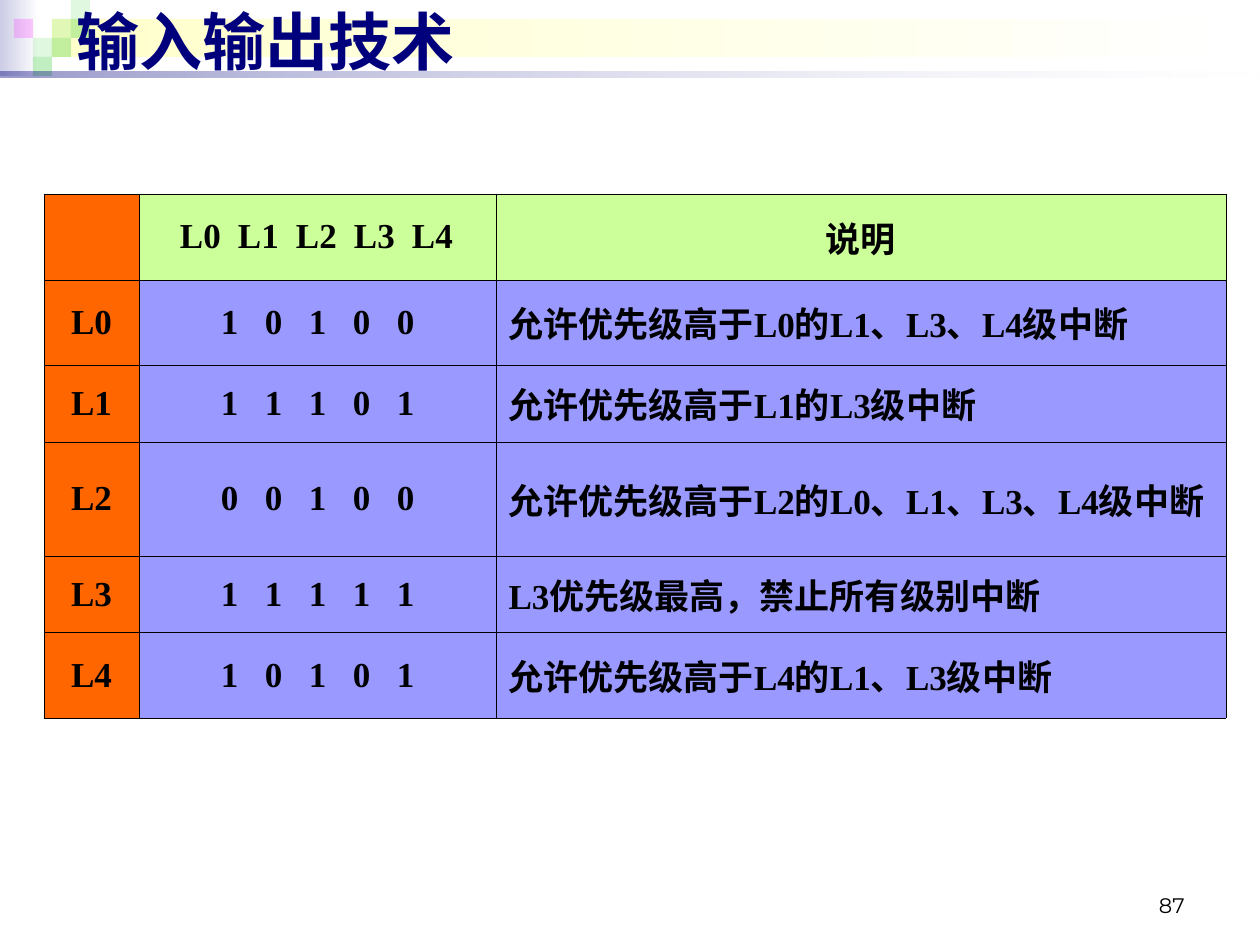
import dataclasses
import lxml.etree
import pptx
import pptx.dml.color
import pptx.enum.shapes
import pptx.enum.text
import pptx.oxml.ns
import pptx.util

PX = 914400 // 126


@dataclasses.dataclass(frozen=True)
class Theme:
    navy: str = "00007D"
    lavender: str = "CCCCE6"
    cream: str = "FFFFCC"
    white: str = "FFFFFF"
    green: str = "33CC33"
    magenta: str = "FF00FF"
    orange: str = "FF6600"
    lime: str = "CCFF99"
    violet: str = "9999FF"
    black: str = "000000"
    title_size: int = 36
    table_size: int = 20
    number_size: int = 12
    border: float = 0.45


theme = Theme()
rgb = pptx.dml.color.RGBColor.from_string
qn = pptx.oxml.ns.qn
align = pptx.enum.text.PP_ALIGN
middle = pptx.enum.text.MSO_ANCHOR.MIDDLE


def add_block(page, place, colours, opacities):
    block = page.shapes.add_shape(
        pptx.enum.shapes.MSO_SHAPE.RECTANGLE, *[n * PX for n in place])
    block.shadow.inherit = False
    block.line.fill.background()
    if len(colours) == 1:
        block.fill.solid()
        block.fill.fore_color.rgb = rgb(colours[0])
    else:
        block.fill.gradient()
        block.fill.gradient_angle = 0
        for stop, colour in zip(block.fill.gradient_stops, colours):
            stop.color.rgb = rgb(colour)
    for colour, opacity in zip(block.element.spPr.iter(qn("a:srgbClr")), opacities):
        if opacity < 100:
            lxml.etree.SubElement(colour, qn("a:alpha"), val=str(opacity * 1000))


def add_span(para, text, face, size, colour, bold):
    span = para.add_run()
    span.text = text
    span.font.name = face
    span.font.size = pptx.util.Pt(size)
    span.font.color.rgb = rgb(colour)
    span.font.bold = bold


deck = pptx.Presentation()
deck.slide_width = 1260 * PX
deck.slide_height = 945 * PX
page = deck.slides.add_slide(deck.slide_layouts[5])

add_block(page, (0, 0, 39, 76), (theme.lavender, theme.white), (100, 100))
add_block(page, (52, 19, 1203, 38), (theme.cream, theme.white), (100, 100))
tile = 19
tiles = [
    (2, 1, theme.green, 15), (3, 0, theme.green, 15), (3, 1, theme.green, 30),
    (1, 2, theme.green, 15), (0, 1, theme.magenta, 20), (2, 2, theme.green, 30),
    (1, 3, theme.green, 30),
]
for column, row, colour, opacity in tiles:
    add_block(page, (14 + column * tile, row * tile, tile, tile), (colour,), (opacity,))
add_block(page, (0, 72, 1260, 6), (theme.navy, theme.white), (40, 10))

number = page.shapes.add_textbox(903 * PX, 861 * PX, 294 * PX, 63 * PX)
number.text_frame.word_wrap = True
number.text_frame.vertical_anchor = pptx.enum.text.MSO_ANCHOR.BOTTOM
para = number.text_frame.paragraphs[0]
para.alignment = align.RIGHT
add_span(para, "87", "Montserrat", theme.number_size, theme.black, False)

title = page.shapes.title
title.left, title.top, title.width, title.height = [n * PX for n in (64, -4, 1180, 89)]
title.text_frame.auto_size = pptx.enum.text.MSO_AUTO_SIZE.NONE
title.text_frame.vertical_anchor = middle
para = title.text_frame.paragraphs[0]
para.alignment = align.LEFT
add_span(para, "输入输出技术", "Arial", theme.title_size, theme.navy, True)
page.shapes.element.append(title.element)

levels = ["L0", "L1", "L2", "L3", "L4"]
masks = ["10100", "11101", "00100", "11111", "10101"]
notes = [
    "允许优先级高于L0的L1、L3、L4级中断",
    "允许优先级高于L1的L3级中断",
    "允许优先级高于L2的L0、L1、L3、L4级中断",
    "L3优先级最高，禁止所有级别中断",
    "允许优先级高于L4的L1、L3级中断",
]
rows = [("", "\t".join(levels), "说明")]
rows += [(level, "\t".join(mask), note) for level, mask, note in zip(levels, masks, notes)]
widths = [95, 357, 730]
heights = [86, 85, 77, 97, 76, 86]
table = page.shapes.add_table(
    len(rows), len(widths), 44 * PX, 194 * PX, sum(widths) * PX, sum(heights) * PX).table
table.first_row = False
table.horz_banding = False
for column, width in zip(table.columns, widths):
    column.width = width * PX
for row, height in zip(table.rows, heights):
    row.height = height * PX

for r, texts in enumerate(rows):
    for c, text in enumerate(texts):
        cell = table.cell(r, c)
        cell.vertical_anchor = middle
        properties = cell._tc.get_or_add_tcPr()
        for side in ("a:lnL", "a:lnR", "a:lnT", "a:lnB"):
            line = lxml.etree.SubElement(
                properties, qn(side), w=str(pptx.util.Pt(theme.border)))
            paint = lxml.etree.SubElement(line, qn("a:solidFill"))
            lxml.etree.SubElement(paint, qn("a:srgbClr"), val=theme.black)
        cell.fill.solid()
        cell.fill.fore_color.rgb = rgb(
            theme.orange if c == 0 else theme.lime if r == 0 else theme.violet)
        para = cell.text_frame.paragraphs[0]
        para.alignment = align.CENTER
        if c == 1:
            inset, step = (41, 58) if r == 0 else (82, 44)
            cell.margin_left = inset * PX
            para.alignment = align.LEFT
            tabs = lxml.etree.SubElement(para._p.get_or_add_pPr(), qn("a:tabLst"))
            for stop in range(1, len(levels)):
                lxml.etree.SubElement(
                    tabs, qn("a:tab"), pos=str(stop * step * PX), algn="l")
        elif c == 2 and r > 0:
            para.alignment = align.LEFT
            indent = para._p.get_or_add_pPr()
            indent.set("marL", str(48 * PX))
            indent.set("indent", str(-48 * PX))
        if text:
            add_span(para, text, "Times New Roman", theme.table_size, theme.black, True)

deck.save("out.pptx")
